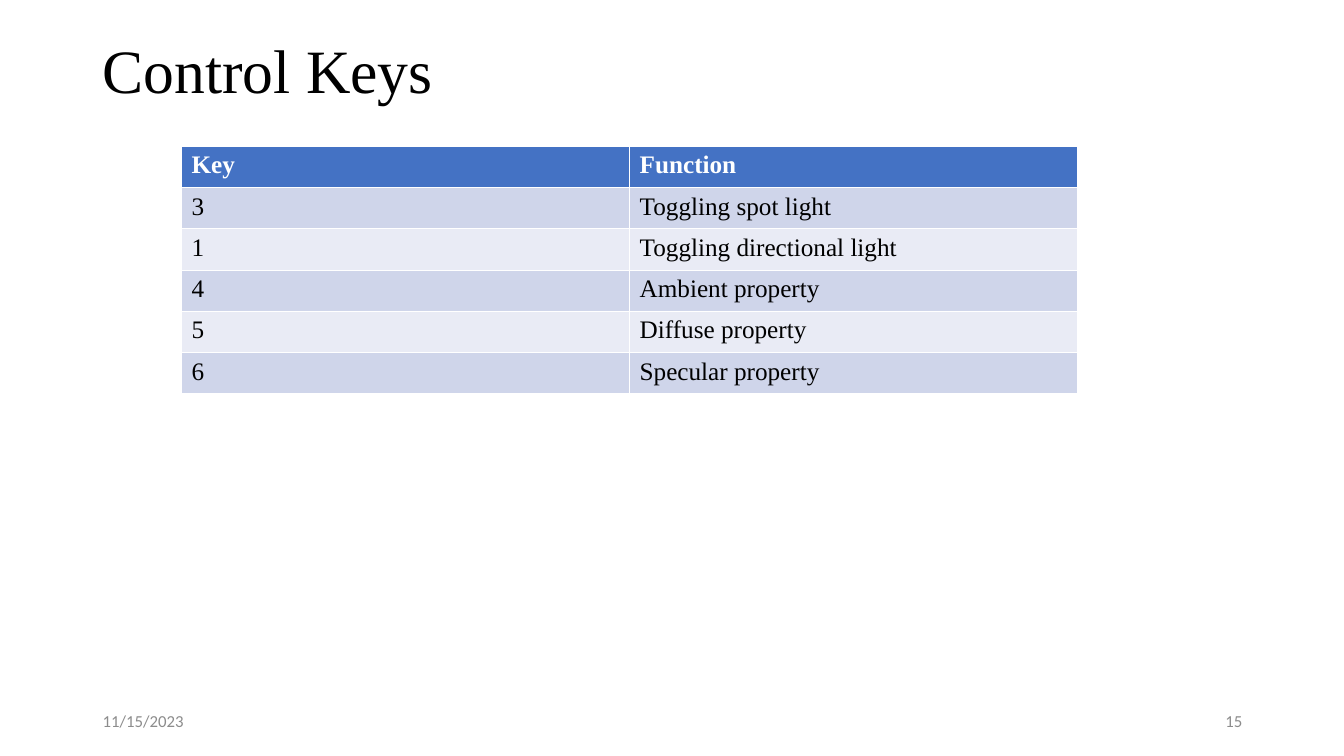
from dataclasses import dataclass

from pptx import Presentation
from pptx import util as u
from pptx.dml import color
from pptx.enum import text
from pptx.slide import Slide
from pptx.text import text as t


@dataclass(frozen=True)
class TextStyle:
    font: str
    size: int
    colour: str
    bold: bool = False


@dataclass(frozen=True)
class Theme:
    title: TextStyle = TextStyle("Times New Roman", 44, "000000")
    footer: TextStyle = TextStyle("Calibri", 12, "8C8C8C")
    header: TextStyle = TextStyle("Times New Roman", 18, "FFFFFF", True)
    body: TextStyle = TextStyle("Times New Roman", 18, "000000")
    header_fill: str = "4472C4"
    band_fills: tuple[str, str] = ("CFD5EA", "E9EBF5")


@dataclass(frozen=True)
class Label:
    wording: str
    left: float
    top: float
    width: float
    height: float
    style: TextStyle
    align: text.PP_ALIGN = text.PP_ALIGN.LEFT
    line_spacing: float = 1.0


@dataclass(frozen=True)
class ControlKey:
    key: str
    function: str


THEME = Theme()

LABELS = [
    Label("Control Keys", 0.92, 0, 11.5, 1.45, THEME.title, line_spacing=0.9),
    Label("11/15/2023", 0.92, 6.95, 3, 0.4, THEME.footer),
    Label("15", 9.42, 6.95, 3, 0.4, THEME.footer, text.PP_ALIGN.RIGHT),
]

HEADINGS = ControlKey("Key", "Function")
CONTROL_KEYS = [
    ControlKey("3", "Toggling spot light"),
    ControlKey("1", "Toggling directional light"),
    ControlKey("4", "Ambient property"),
    ControlKey("5", "Diffuse property"),
    ControlKey("6", "Specular property"),
]

TABLE_LEFT, TABLE_TOP, TABLE_WIDTH = 1.8, 1.45, 8.89
ROW_HEIGHT = 0.41


def add_run(paragraph: t._Paragraph, wording: str, style: TextStyle) -> None:
    run = paragraph.add_run()
    run.text = wording
    run.font.name = style.font
    run.font.size = u.Pt(style.size)
    run.font.bold = style.bold
    run.font.color.rgb = color.RGBColor.from_string(style.colour)


def add_label(slide: Slide, label: Label) -> None:
    shape = slide.shapes.add_textbox(
        u.Inches(label.left), u.Inches(label.top),
        u.Inches(label.width), u.Inches(label.height))
    frame = shape.text_frame
    frame.word_wrap = True
    frame.vertical_anchor = text.MSO_ANCHOR.MIDDLE
    paragraph = frame.paragraphs[0]
    paragraph.alignment = label.align
    paragraph.line_spacing = label.line_spacing
    add_run(paragraph, label.wording, label.style)


def add_key_table(slide: Slide, entries: list[ControlKey]) -> None:
    rows = [HEADINGS, *entries]
    table = slide.shapes.add_table(
        len(rows), 2, u.Inches(TABLE_LEFT), u.Inches(TABLE_TOP),
        u.Inches(TABLE_WIDTH), u.Inches(ROW_HEIGHT * len(rows))).table
    for index, entry in enumerate(rows):
        # Header row first, then alternating bands
        is_header = index == 0
        style = THEME.header if is_header else THEME.body
        fill = THEME.header_fill if is_header else THEME.band_fills[(index - 1) % 2]
        for column, wording in enumerate((entry.key, entry.function)):
            cell = table.cell(index, column)
            cell.fill.solid()
            cell.fill.fore_color.rgb = color.RGBColor.from_string(fill)
            add_run(cell.text_frame.paragraphs[0], wording, style)


def main() -> None:
    presentation = Presentation()
    presentation.slide_width = u.Inches(13.33)
    presentation.slide_height = u.Inches(7.5)
    slide = presentation.slides.add_slide(presentation.slide_layouts[6])

    # Title, date and slide number
    for label in LABELS:
        add_label(slide, label)

    # Table of keys and their functions
    add_key_table(slide, CONTROL_KEYS)

    presentation.save("out.pptx")


if __name__ == "__main__":
    main()
